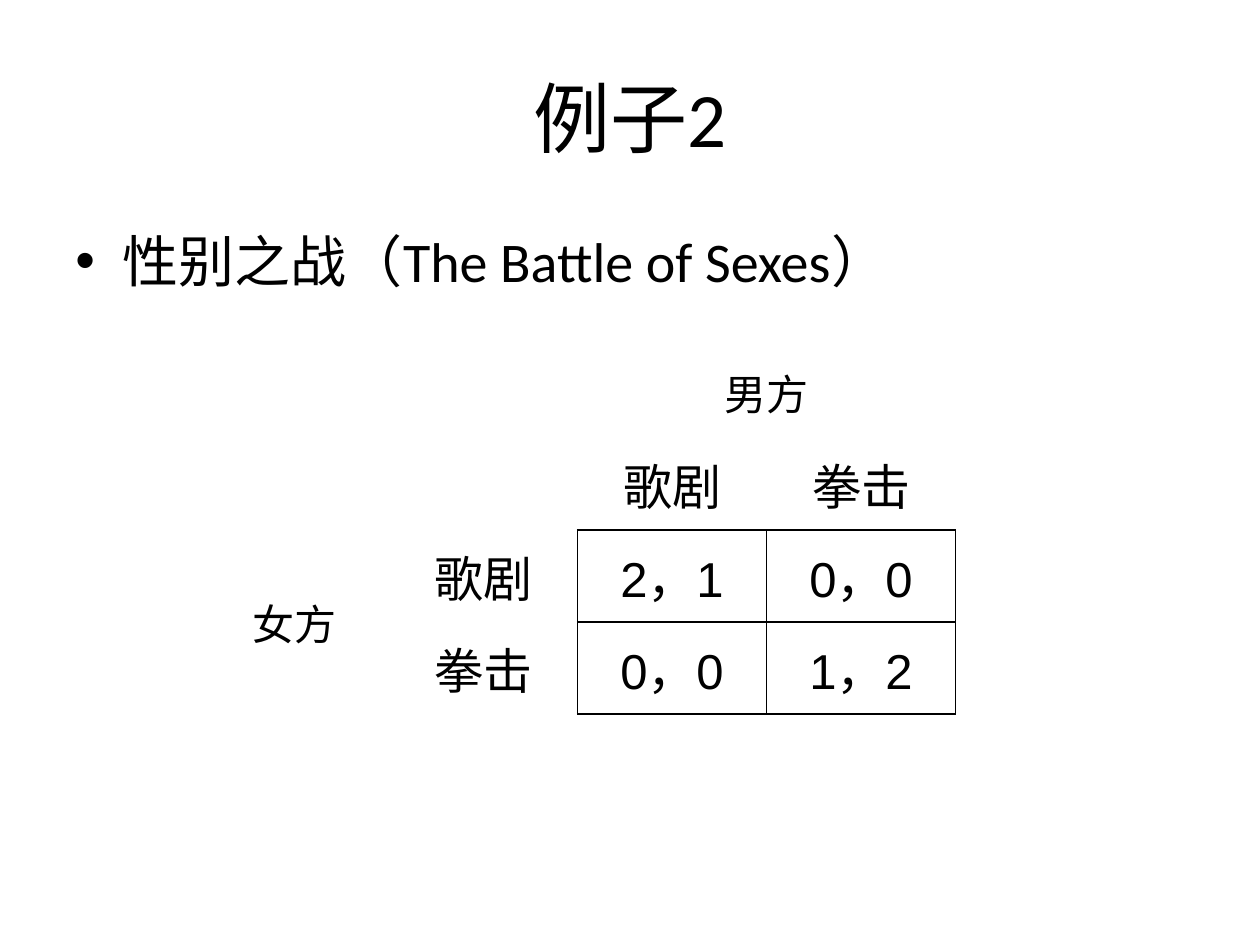
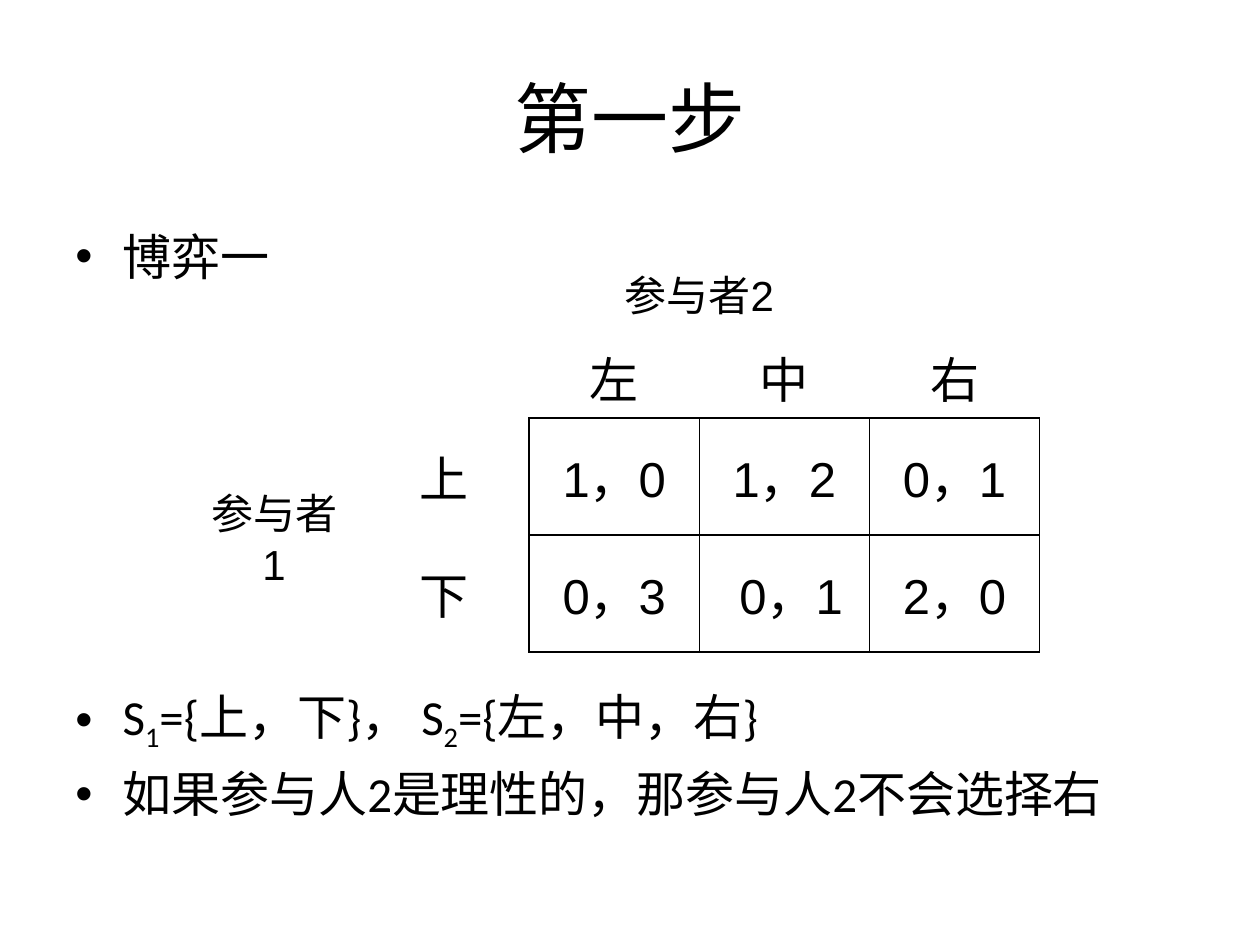
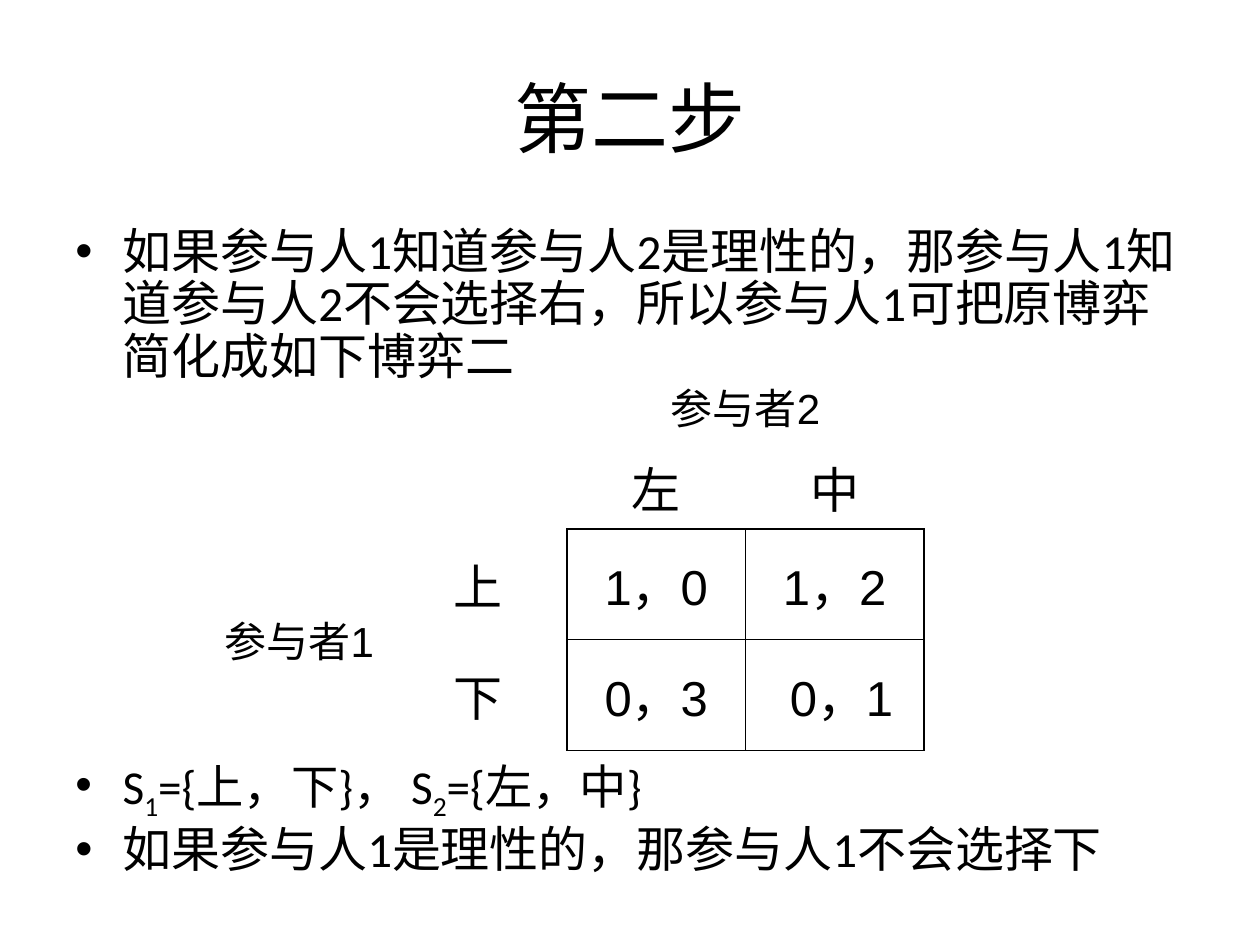
"""Build three game-theory slides with payoff matrices."""
import pptx
import pptx.dml.color
import pptx.enum.text
import pptx.oxml
import pptx.oxml.ns
import pptx.util

Pt = pptx.util.Pt
BLACK = pptx.dml.color.RGBColor(0, 0, 0)
WHITE = pptx.dml.color.RGBColor(255, 255, 255)
CENTER = pptx.enum.text.PP_ALIGN.CENTER
MIDDLE = pptx.enum.text.MSO_ANCHOR.MIDDLE
NAMESPACE = pptx.oxml.ns.nsdecls("a")
NO_GRID_STYLE = "{2D5ABB26-0587-4C30-8999-92F81FD0307C}"


class GameDeck:
    """Hold the shared style and the current slide."""

    text_font = "Calibri"
    matrix_font = "Arial"
    left, width = 36, 648
    hanging = 27

    def __init__(self):
        self.presentation = pptx.Presentation()
        self.presentation.slide_width = Pt(720)
        self.presentation.slide_height = Pt(540)
        self.slide = None

    def new_slide(self, title):
        self.slide = self.presentation.slides.add_slide(self.presentation.slide_layouts[6])
        self.slide.background.fill.solid()
        self.slide.background.fill.fore_color.rgb = WHITE
        frame = self.text_box(21.6, 90)
        frame.vertical_anchor = MIDDLE
        paragraph = frame.paragraphs[0]
        paragraph.text = title
        paragraph.alignment = CENTER
        self.style(paragraph, self.text_font, 44)

    def style(self, paragraph, name, size):
        paragraph.font.name = name
        paragraph.font.size = Pt(size)
        paragraph.font.color.rgb = BLACK

    def text_box(self, top, height):
        shape = self.slide.shapes.add_textbox(Pt(self.left), Pt(top), Pt(self.width), Pt(height))
        shape.text_frame.word_wrap = True
        return shape.text_frame

    def bullets(self, height, items, line_spacing=1.0):
        """Add bullets given as (text, size, space before), with subscripts between bars."""
        frame = self.text_box(126, height)
        for index, (text, size, space_before) in enumerate(items):
            paragraph = frame.paragraphs[0] if index == 0 else frame.add_paragraph()
            properties = paragraph._p.get_or_add_pPr()
            properties.set("marL", str(Pt(self.hanging)))
            properties.set("indent", str(-Pt(self.hanging)))
            for bullet in ('<a:buFont {} typeface="Arial"/>', '<a:buChar {} char="•"/>'):
                properties.append(pptx.oxml.parse_xml(bullet.format(NAMESPACE)))
            paragraph.line_spacing = line_spacing
            paragraph.space_before = Pt(space_before)
            self.style(paragraph, self.text_font, size)
            for position, piece in enumerate(text.split("|")):
                run = paragraph.add_run()
                run.text = piece
                if position % 2:
                    run._r.get_or_add_rPr().set("baseline", "-25000")

    def cell(self, cell, text, size, sides=""):
        properties = cell._tc.get_or_add_tcPr()
        for side in sides:
            properties.append(pptx.oxml.parse_xml(
                f'<a:ln{side} {NAMESPACE} w="{Pt(1)}"><a:solidFill>'
                f'<a:srgbClr val="{BLACK}"/></a:solidFill></a:ln{side}>'))
        cell.fill.background()
        cell.vertical_anchor = MIDDLE
        paragraph = cell.text_frame.paragraphs[0]
        paragraph.text = text
        paragraph.alignment = CENTER
        self.style(paragraph, self.matrix_font, size)

    def payoff_matrix(self, left, top, column_width, row_heights, players, moves, payoffs):
        """Add a payoff table; players and moves list the row side, then the column side."""
        row_player, column_player = players
        row_moves, column_moves = moves
        columns = len(column_moves) + 2
        table = self.slide.shapes.add_table(
            len(row_heights), columns, Pt(left), Pt(top),
            Pt(column_width * columns), Pt(sum(row_heights))).table
        table.first_row = table.horz_banding = False
        table._tbl.tblPr.find(pptx.oxml.ns.qn("a:tableStyleId")).text = NO_GRID_STYLE
        for column in table.columns:
            column.width = Pt(column_width)
        for row, height in zip(table.rows, row_heights):
            row.height = Pt(height)

        contents = {(0, 2): (column_player, 24), (2, 0): (row_player, 24)}
        for column, move in enumerate(column_moves, 2):
            contents[1, column] = (move, 28, "B")
        for row, (move, values) in enumerate(zip(row_moves, payoffs), 2):
            contents[row, 1] = (move, 28, "R")
            for column, value in enumerate(values, 2):
                contents[row, column] = (value, 28, "LRTB")
        for row in range(len(row_heights)):
            for column in range(columns):
                self.cell(table.cell(row, column), *contents.get((row, column), ("", 18)))
        table.cell(0, 2).merge(table.cell(0, 3))
        table.cell(2, 0).merge(table.cell(3, 0))


def main():
    deck = GameDeck()
    participants = ("参与者1", "参与者2")

    deck.new_slide("例子2")
    deck.bullets(356.4, [("性别之战（The Battle of Sexes）", 32, 0)])
    activities = ("歌剧", "拳击")
    deck.payoff_matrix(114, 198, 108, [52.5] * 4, ("女方", "男方"), (activities, activities),
                       [("2，1", "0，0"), ("0，0", "1，2")])

    deck.new_slide("第一步")
    deck.bullets(396, [
        ("博弈一", 28, 0),
        ("S|1|={上，下}， S|2|={左，中，右}", 28, 229),
        ("如果参与人2是理性的，那参与人2不会选择右", 28, 6),
    ])
    deck.payoff_matrix(108, 144, 97.2, [47.5, 47.5, 66.8, 66.8], participants, ("上下", "左中右"),
                       [("1，0", "1，2", "0，1"), ("0，3", " 0，1", "2，0")])

    deck.new_slide("第二步")
    deck.bullets(414, [
        ("如果参与人1知道参与人2是理性的，那参与人1知道参与人2不会选择右，"
         "所以参与人1可把原博弈简化成如下博弈二", 28, 0),
        ("S|1|={上，下}， S|2|={左，中}", 27, 213),
        ("如果参与人1是理性的，那参与人1不会选择下", 28, 5),
    ], line_spacing=0.9)
    deck.payoff_matrix(120, 210, 102, [44.6, 47.6, 63.4, 63.4], participants, ("上下", "左中"),
                       [("1，0", "1，2"), ("0，3", " 0，1")])

    deck.presentation.save("out.pptx")


if __name__ == "__main__":
    main()
